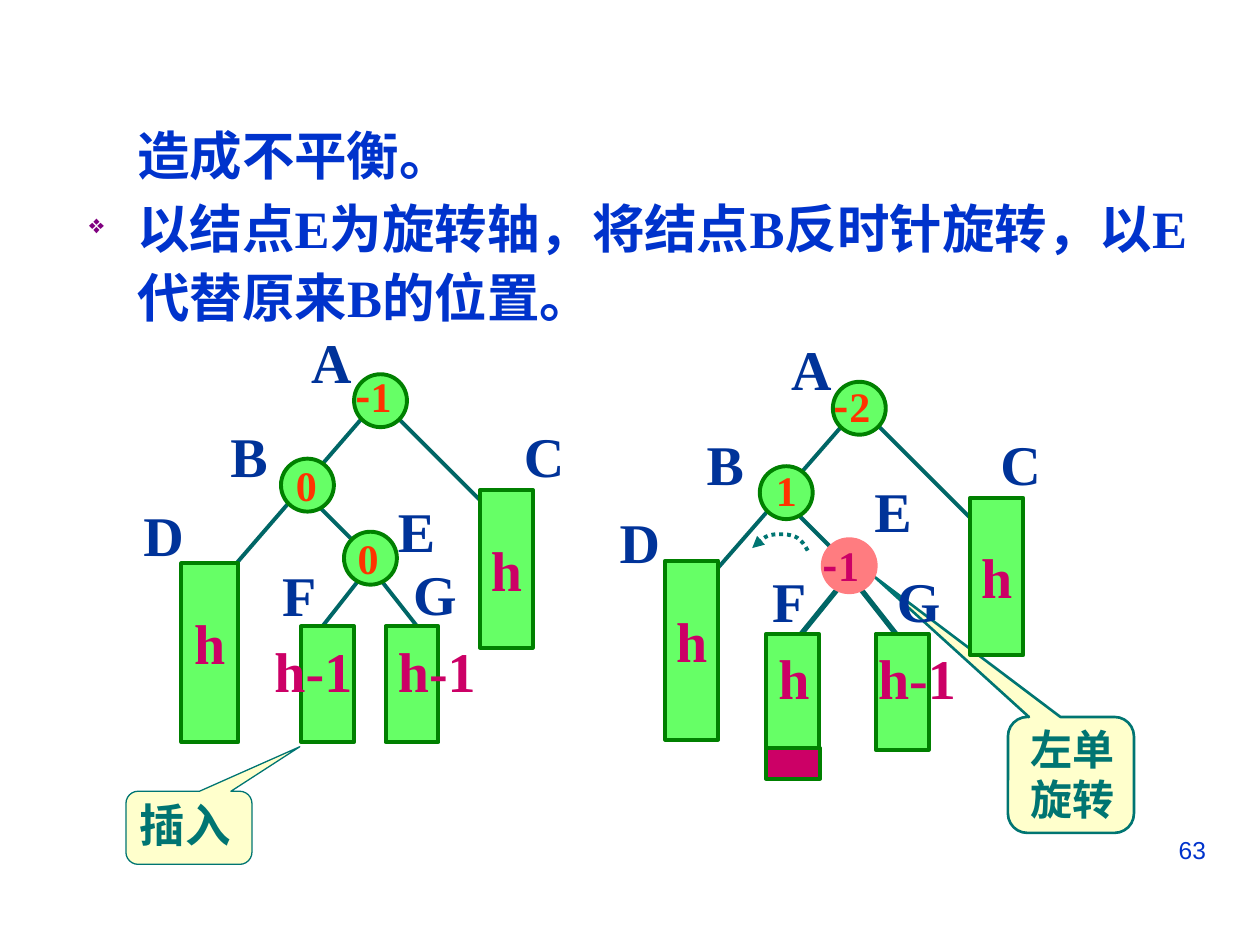
"""Build a slide showing the left rotation step of an AVL tree."""
from dataclasses import dataclass

import pptx
import pptx.dml.color
import pptx.enum.dml
import pptx.enum.shapes
import pptx.enum.text
import pptx.oxml
import pptx.oxml.ns
import pptx.util
from lxml import etree

Inches = pptx.util.Inches
Pt = pptx.util.Pt
RGBColor = pptx.dml.color.RGBColor
Shape = pptx.enum.shapes.MSO_SHAPE
Align = pptx.enum.text.PP_ALIGN
qn = pptx.oxml.ns.qn

BLUE = RGBColor(0x00, 0x33, 0xCC)
NAVY = RGBColor(0x00, 0x33, 0x99)
TEAL = RGBColor(0x00, 0x75, 0x72)
EDGE_TEAL = RGBColor(0x00, 0x66, 0x66)
GREEN = RGBColor(0x66, 0xFF, 0x66)
DARK_GREEN = RGBColor(0x00, 0x80, 0x00)
CREAM = RGBColor(0xFF, 0xFF, 0xCC)
CRIMSON = RGBColor(0xCC, 0x00, 0x66)
ORANGE = RGBColor(0xFF, 0x33, 0x00)
SALMON = RGBColor(0xFF, 0x7C, 0x80)
SERIF = "Times New Roman"
CJK = "Noto Sans CJK SC"
NODE_SIZE = 0.42
LABEL_WIDTHS = {"A": 0.52, "B": 0.49, "C": 0.52, "D": 0.52, "E": 0.49, "F": 0.47, "G": 0.54,
                "h": 0.45, "h-1": 0.82, "0": 0.36, "1": 0.36, "-1": 0.56, "-2": 0.56}
LABEL_HEIGHTS = {32: 0.64, 24: 0.5}


@dataclass
class Edge:
    start: tuple[float, float]
    end: tuple[float, float]
    weight: float = 2.25


@dataclass
class Block:
    left: float
    top: float
    width: float
    height: float
    text: str = ""
    spacing: float = 1.0
    fill: RGBColor = GREEN


@dataclass
class Node:
    left: float
    top: float
    fill: RGBColor = GREEN
    line: RGBColor = DARK_GREEN


@dataclass
class Label:
    text: str
    left: float
    top: float
    colour: RGBColor = NAVY
    size: int = 32


@dataclass
class Callout:
    lines: list[str]
    bounds: tuple[float, float, float, float]
    text_bounds: tuple[float, float, float, float]
    tip: tuple[float, float]
    weight: float
    size: int


@dataclass
class Tree:
    callout: Callout
    edges: list[Edge]
    blocks: list[Block]
    nodes: list[Node]
    labels: list[Label]


BEFORE = Tree(
    Callout(["插入"], (1, 6.28, 1, 0.58), (1.01, 6.28, 0.99, 0.54), (0.88, -1.11), 0.75, 26),
    [Edge((2.98, 4.55), (3.31, 4.97)), Edge((2.89, 4.55), (2.56, 4.97)),
     Edge((3.14, 3.3), (3.89, 4.05)), Edge((2.89, 3.3), (1.73, 4.64)),
     Edge((2.48, 3.97), (2.98, 4.47))],
    [Block(3.81, 3.89, 0.42, 1.25, "h"), Block(1.44, 4.47, 0.45, 1.42, "h", 0.6),
     Block(2.39, 4.97, 0.42, 0.92), Block(3.06, 4.97, 0.42, 0.92)],
    [Node(2.23, 3.64), Node(2.81, 2.97), Node(2.73, 4.22)],
    [Label("A", 2.37, 2.55), Label("C", 4.06, 3.3), Label("E", 3.06, 3.89),
     Label("D", 1.04, 3.92), Label("h-1", 3.06, 5, CRIMSON), Label("h-1", 2.08, 5, CRIMSON),
     Label("B", 1.73, 3.3), Label("F", 2.14, 4.4), Label("G", 3.18, 4.39),
     Label("-1", 2.72, 2.89, ORANGE, 24), Label("0", 2.25, 3.6, ORANGE, 24),
     Label("0", 2.74, 4.18, ORANGE, 24)])
AFTER = Tree(
    Callout(["左单", "旋转"], (8, 5.69, 1, 0.92), (8.08, 5.69, 1, 0.9), (-1.56, -1.71), 1.5, 24),
    [Edge((6.7, 4.61), (6.36, 5.03), 3), Edge((6.78, 4.61), (7.11, 5.03), 3),
     Edge((6.95, 3.36), (7.7, 4.11)), Edge((6.7, 3.36), (5.53, 4.7)),
     Edge((6.28, 4.03), (6.78, 4.53))],
    [Block(6.08, 5.03, 0.42, 0.92), Block(7.7, 3.95, 0.42, 1.25, "h"),
     Block(5.28, 4.45, 0.42, 1.42, "h", 0.6), Block(6.95, 5.03, 0.42, 0.92),
     Block(6.08, 5.94, 0.43, 0.24, fill=CRIMSON)],
    [Node(6.03, 3.7), Node(6.61, 3.03), Node(6.53, 4.28, SALMON, SALMON)],
    [Label("E", 6.84, 3.73), Label("G", 7.02, 4.45), Label("A", 6.18, 2.61),
     Label("C", 7.84, 3.36), Label("D", 4.82, 3.98), Label("B", 5.51, 3.36),
     Label("F", 6.03, 4.45), Label("h-1", 6.87, 5.06, CRIMSON), Label("h", 6.08, 5.06, CRIMSON),
     Label("1", 6.06, 3.64, ORANGE, 24), Label("-1", 6.43, 4.23, CRIMSON, 24),
     Label("-2", 6.52, 2.97, ORANGE, 24)])
ROTATION_START = (6.41, 4.37)
ROTATION_CURVES = [((6.39, 4.33), (6.37, 4.3), (6.33, 4.27)),
                   ((6.3, 4.25), (6.25, 4.24), (6.2, 4.24)),
                   ((6.16, 4.24), (6.12, 4.24), (6.08, 4.26)),
                   ((6.04, 4.28), (5.99, 4.34), (5.97, 4.35))]


def style_paragraph(para, size: float, colour: RGBColor, bold: bool = True, name: str = SERIF) -> None:
    """Set the font of a whole paragraph."""
    font = para.font
    font.size, font.bold, font.name = Pt(size), bold, name
    font.color.rgb = colour
    etree.SubElement(font._element, qn("a:ea")).set("typeface", CJK)


def add_text(page, bounds, lines: list[str], size: float, colour: RGBColor, wrap: bool = True):
    """Add a text box with one bold paragraph per line."""
    box = page.shapes.add_textbox(*map(Inches, bounds))
    frame = box.text_frame
    frame.word_wrap = wrap
    frame.auto_size = pptx.enum.text.MSO_AUTO_SIZE.SHAPE_TO_FIT_TEXT
    for index, line in enumerate(lines):
        para = frame.add_paragraph() if index else frame.paragraphs[0]
        if line.startswith("-"):
            span = para.add_run()
            span.text, span.font.name = "-", CJK
            line = line[1:]
        para.add_run().text = line
        style_paragraph(para, size, colour)


def add_outlined(page, kind, bounds, fill: RGBColor, line: RGBColor, weight: float = 2.25):
    """Add a filled preset shape with an outline."""
    shape = page.shapes.add_shape(kind, *map(Inches, bounds))
    shape.shadow.inherit = False
    shape.fill.solid()
    shape.fill.fore_color.rgb = fill
    shape.line.color.rgb = line
    shape.line.width = Pt(weight)
    return shape


def draw_callout(page, callout: Callout) -> None:
    """Draw a callout and its words."""
    shape = add_outlined(page, Shape.ROUNDED_RECTANGULAR_CALLOUT, callout.bounds, CREAM, TEAL, callout.weight)
    shape.adjustments[0], shape.adjustments[1] = callout.tip
    add_text(page, callout.text_bounds, callout.lines, callout.size, TEAL)


def draw_edge(page, edge: Edge) -> None:
    """Draw a straight tree edge."""
    line = page.shapes.add_connector(pptx.enum.shapes.MSO_CONNECTOR.STRAIGHT,
                                     *map(Inches, edge.start + edge.end))
    line.line.color.rgb = EDGE_TEAL
    line.line.width = Pt(edge.weight)
    etree.SubElement(line._element.spPr, qn("a:effectLst"))


def draw_block(page, block: Block) -> None:
    """Draw a subtree block, with its height centred in it."""
    bounds = (block.left, block.top, block.width, block.height)
    shape = add_outlined(page, Shape.RECTANGLE, bounds, block.fill, DARK_GREEN)
    if block.text:
        frame = shape.text_frame
        frame.word_wrap = False
        para = frame.paragraphs[0]
        para.text, para.alignment, para.line_spacing = block.text, Align.CENTER, block.spacing
        style_paragraph(para, 32, CRIMSON)


def draw_tree(page, tree: Tree) -> None:
    """Draw a tree from back to front."""
    draw_callout(page, tree.callout)
    for edge in tree.edges:
        draw_edge(page, edge)
    for block in tree.blocks:
        draw_block(page, block)
    for node in tree.nodes:
        add_outlined(page, Shape.OVAL, (node.left, node.top, NODE_SIZE, NODE_SIZE), node.fill, node.line)
    for label in tree.labels:
        bounds = (label.left, label.top, LABEL_WIDTHS[label.text], LABEL_HEIGHTS[label.size])
        add_text(page, bounds, [label.text], label.size, label.colour, wrap=False)


def draw_rotation(page, steps: int = 6) -> None:
    """Draw the dotted, curved rotation arrow."""
    points, start = [], ROTATION_START
    for first, second, end in ROTATION_CURVES:
        for step in range(1, steps + 1):
            t = step / steps
            points.append(tuple(
                Inches((1 - t) ** 3 * a + 3 * t * (1 - t) ** 2 * b + 3 * t ** 2 * (1 - t) * c + t ** 3 * d)
                for a, b, c, d in zip(start, first, second, end)))
        start = end
    builder = page.shapes.build_freeform(*map(Inches, ROTATION_START))
    builder.add_line_segments(points, close=False)
    arrow = builder.convert_to_shape()
    arrow.shadow.inherit = False
    arrow.fill.background()
    arrow.line.color.rgb = TEAL
    arrow.line.width = Pt(2.25)
    arrow.line.dash_style = pptx.enum.dml.MSO_LINE.ROUND_DOT
    etree.SubElement(arrow.line._get_or_add_ln(), qn("a:tailEnd")).set("type", "triangle")


def draw_body(page) -> None:
    """Write the explanation above the trees."""
    frame = page.shapes.add_textbox(Inches(0.61), Inches(0.88), Inches(9), Inches(1.9)).text_frame
    frame.word_wrap = True
    opening, step = frame.paragraphs[0], frame.add_paragraph()
    opening.text = "造成不平衡。"
    step.text = "以结点E为旋转轴，将结点B反时针旋转，以E代替原来B的位置。"
    for para in (opening, step):
        para.line_spacing = 1.1
        para._p.get_or_add_pPr().set("marL", str(Inches(0.38)))
    step.space_before = Pt(1.9)
    properties = step._p.get_or_add_pPr()
    properties.set("indent", str(-Inches(0.38)))
    colour = etree.SubElement(properties, qn("a:buClr"))
    etree.SubElement(colour, qn("a:srgbClr")).set("val", "800080")
    etree.SubElement(properties, qn("a:buSzPct")).set("val", "50000")
    etree.SubElement(properties, qn("a:buChar")).set("char", "❖")
    for para in (opening, step):
        style_paragraph(para, 30, BLUE)


def draw_page_number(page) -> None:
    """Write the page number in the lower right corner."""
    frame = page.shapes.add_textbox(Inches(7.17), Inches(6.58), Inches(2.5), Inches(0.52)).text_frame
    frame.word_wrap = True
    para = frame.paragraphs[0]
    para.text, para.alignment = "63", Align.RIGHT
    style_paragraph(para, 14, BLUE, bold=False, name="Arial")


def main() -> None:
    """Build and save the deck."""
    deck = pptx.Presentation()
    deck.slide_width, deck.slide_height = Inches(10), Inches(7.5)
    page = deck.slides.add_slide(deck.slide_layouts[6])
    draw_page_number(page)
    draw_tree(page, BEFORE)
    draw_rotation(page)
    draw_tree(page, AFTER)
    draw_body(page)
    deck.save("out.pptx")


if __name__ == "__main__":
    main()
